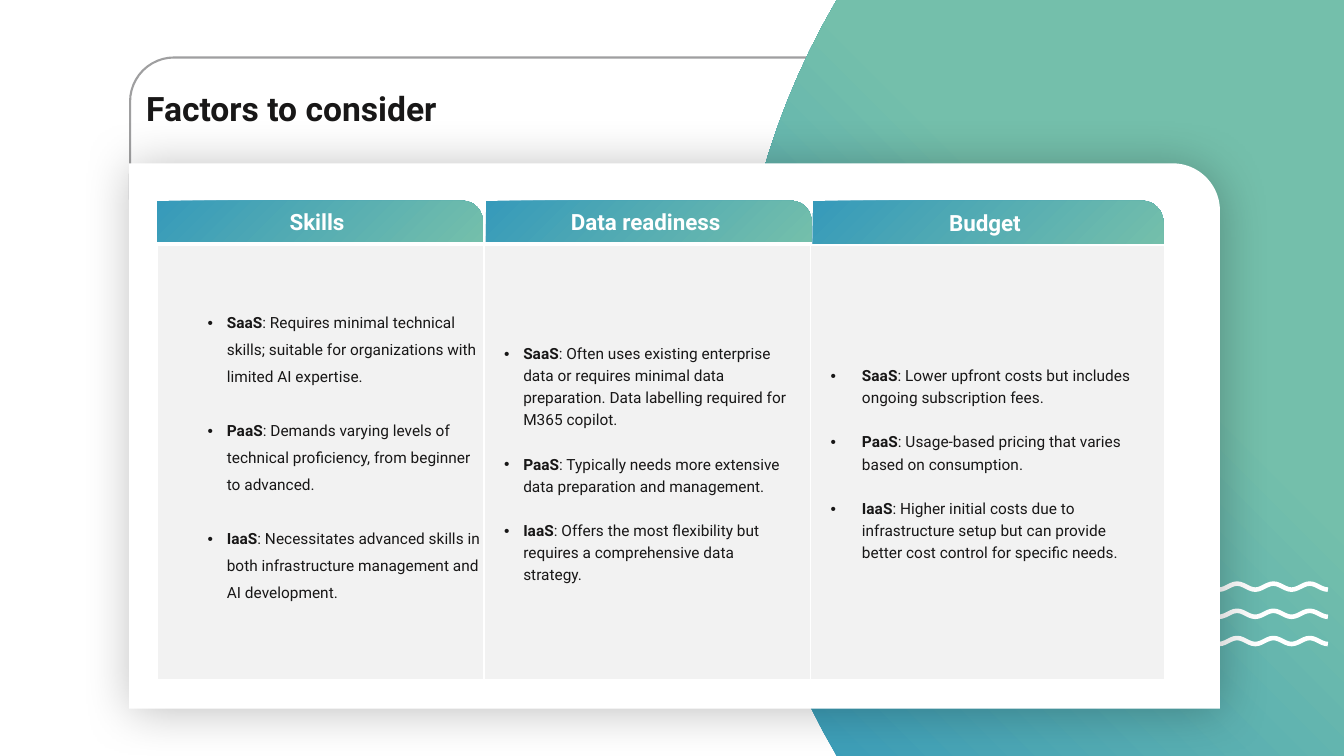
"""Build the slide that compares SaaS, PaaS and IaaS by three factors."""
from dataclasses import dataclass
from math import cos, pi, sqrt
from typing import Optional

from lxml.etree import SubElement
from pptx import Presentation
from pptx.dml.color import RGBColor
from pptx.dml.fill import FillFormat
from pptx.enum.shapes import MSO_SHAPE as Preset
from pptx.enum.text import MSO_ANCHOR as Anchor, MSO_AUTO_SIZE as AutoSize, PP_ALIGN as Align
from pptx.oxml.ns import qn
from pptx.shapes.autoshape import Shape
from pptx.slide import Slide
from pptx.table import _Cell as Cell
from pptx.text.text import _Paragraph as Para
from pptx.util import Emu, Pt

PX = 9144
WIDTH, HEIGHT = 1333, 750


@dataclass(frozen=True)
class Theme:
    font: str = "Roboto"
    ink: str = "181717"
    white: str = "FFFFFF"
    cell: str = "F2F2F2"
    outline: str = "9F9FA0"
    blue: str = "369ABA"
    green: str = "74BFAB"
    title: int = 24
    header: int = 16
    body: int = 11
    rule: float = 1.5
    wave: float = 3.25


@dataclass(frozen=True)
class Box:
    left: int
    top: int
    width: int
    height: int

    def emu(self) -> tuple[Emu, Emu, Emu, Emu]:
        return px(self.left), px(self.top), px(self.width), px(self.height)


@dataclass(frozen=True)
class Factor:
    name: str
    header: Box
    column: int
    margins: tuple[int, int, int, int]
    indent: int
    hang: int
    spacing: float | Pt
    gap: float
    items: dict[str, str]


THEME = Theme()
OUTLINE = Box(129, 57, 1082, 141)
PANEL = Box(128, 162, 1082, 541)
TITLE = Box(142, 84, 552, 46)
GRID = Box(156, 243, 999, 432)
WAVE = Box(1155, 579, 162, 6)
WAVE_STEP, WAVE_PERIOD = 27, 36
ARC_LEFT, ARC_DEPTH = 728, 102

FACTORS = [
    Factor("Skills", Box(156, 199, 323, 41), 324, (0, 0, 0, 18), 69, 19, 1.5, 19.2, {
        "SaaS": "Requires minimal technical skills; suitable for organizations with limited AI expertise.",
        "PaaS": "Demands varying levels of technical proficiency, from beginner to advanced.",
        "IaaS": "Necessitates advanced skills in both infrastructure management and AI development.",
    }),
    Factor("Data readiness", Box(482, 199, 323, 41), 324, (20, 20, 20, 20), 19, 19, Pt(15.8), 15.8, {
        "SaaS": "Often uses existing enterprise data or requires minimal data preparation. "
                "Data labelling required for M365 copilot.",
        "PaaS": "Typically needs more extensive data preparation and management.",
        "IaaS": "Offers the most flexibility but requires a comprehensive data strategy.",
    }),
    Factor("Budget", Box(806, 199, 348, 43), 351, (20, 0, 20, 0), 31, 31, Pt(15.8), 15.8, {
        "SaaS": "Lower upfront costs but includes ongoing subscription fees.",
        "PaaS": "Usage-based pricing that varies based on consumption.",
        "IaaS": "Higher initial costs due to infrastructure setup but can provide "
                "better cost control for specific needs.",
    }),
]


def px(length: float) -> Emu:
    return Emu(round(length * PX))


def paint(fill: FillFormat, color: str) -> None:
    fill.solid()
    fill.fore_color.rgb = RGBColor.from_string(color)


def blend(fill: FillFormat, stops: list[tuple[float, str]]) -> None:
    fill.gradient()
    for stop, (position, color) in zip(fill.gradient_stops, stops):
        stop.position = position
        stop.color.rgb = RGBColor.from_string(color)


def add_span(para: Para, text: str, size: int, color: str, bold: bool) -> None:
    span = para.add_run()
    span.text = text
    span.font.name, span.font.size, span.font.bold = THEME.font, Pt(size), bold
    span.font.color.rgb = RGBColor.from_string(color)


def add_corner_box(page: Slide, box: Box, corner: float, fill: Optional[str] = None) -> Shape:
    shape = page.shapes.add_shape(Preset.ROUND_1_RECTANGLE, *box.emu())
    shape.adjustments[0] = corner
    shape.shadow.inherit = False
    shape.line.fill.background()
    if fill:
        paint(shape.fill, fill)
    else:
        shape.fill.background()
    return shape


def add_outline(shapes, points: list[tuple[float, float]], close: bool) -> Shape:
    (left, top), *rest = [(px(x), px(y)) for x, y in points]
    builder = shapes.build_freeform(left, top)
    builder.add_line_segments(rest, close=close)
    shape = builder.convert_to_shape()
    shape.shadow.inherit = False
    return shape


def add_frame(page: Slide) -> None:
    frame = add_corner_box(page, OUTLINE, 0.31)
    frame.line.width = Pt(THEME.rule)
    paint(frame.line.fill, THEME.outline)
    frame._element.spPr.find(qn("a:xfrm")).set("flipH", "1")


def add_disc(page: Slide) -> None:
    half = HEIGHT / 2
    radius = (half ** 2 + ARC_DEPTH ** 2) / (2 * ARC_DEPTH)
    arc = [(ARC_LEFT + radius - sqrt(radius ** 2 - (y - half) ** 2), y) for y in range(0, HEIGHT + 1, 25)]
    disc = add_outline(page.shapes, [(WIDTH, 0), *arc, (WIDTH, HEIGHT)], True)
    disc.line.fill.background()
    blend(disc.fill, [(0.38, THEME.green), (1, THEME.blue)])
    grad = disc._element.spPr.find(qn("a:gradFill"))
    grad.remove(grad.find(qn("a:lin")))
    circle = SubElement(grad, qn("a:path"), path="circle")
    SubElement(circle, qn("a:fillToRect"), l="100000", b="100000")


def add_waves(page: Slide) -> None:
    group = page.shapes.add_group_shape()
    for row in range(3):
        top = WAVE.top + row * WAVE_STEP
        curve = [(WAVE.left + x, top + WAVE.height / 2 * (1 - cos(2 * pi * x / WAVE_PERIOD)))
                 for x in range(0, WAVE.width + 1, 3)]
        wave = add_outline(group.shapes, curve, False)
        wave.fill.background()
        wave.line.width = Pt(THEME.wave)
        paint(wave.line.fill, THEME.white)


def add_panel(page: Slide) -> None:
    panel = add_corner_box(page, PANEL, 0.087, THEME.white)
    effects = panel._element.spPr.find(qn("a:effectLst"))
    shadow = SubElement(effects, qn("a:outerShdw"), blurRad=str(Pt(35)), dist=str(Pt(3)),
                        dir="2700000", algn="tl", rotWithShape="0")
    color = SubElement(shadow, qn("a:srgbClr"), val="000000")
    SubElement(color, qn("a:alpha"), val="25000")


def add_title(page: Slide, text: str) -> None:
    title = page.shapes.title
    title.left, title.top, title.width, title.height = TITLE.emu()
    frame = title.text_frame
    frame.margin_left = frame.margin_right = frame.margin_top = frame.margin_bottom = px(3)
    frame.word_wrap, frame.auto_size = True, AutoSize.SHAPE_TO_FIT_TEXT
    frame.vertical_anchor = Anchor.TOP
    frame.paragraphs[0].alignment = Align.LEFT
    add_span(frame.paragraphs[0], text, THEME.title, THEME.ink, True)


def fill_cell(cell: Cell, factor: Factor) -> None:
    cell.margin_left, cell.margin_top, cell.margin_right, cell.margin_bottom = map(px, factor.margins)
    cell.vertical_anchor = Anchor.MIDDLE
    for side in ("lnL", "lnR", "lnT", "lnB"):
        edge = SubElement(cell._tc.get_or_add_tcPr(), qn(f"a:{side}"), w=str(Pt(THEME.rule)))
        SubElement(SubElement(edge, qn("a:solidFill")), qn("a:srgbClr"), val=THEME.white)
    paint(cell.fill, THEME.cell)
    for index, (service, note) in enumerate(factor.items.items()):
        para = cell.text_frame.add_paragraph() if index else cell.text_frame.paragraphs[0]
        props = para._p.get_or_add_pPr()
        props.set("marL", str(px(factor.indent)))
        props.set("indent", str(px(-factor.hang)))
        SubElement(props, qn("a:buFont"), typeface="Arial")
        SubElement(props, qn("a:buChar"), char="•")
        para.line_spacing = factor.spacing
        if index:
            para.space_before = Pt(factor.gap)
        add_span(para, service, THEME.body, THEME.ink, True)
        add_span(para, f": {note}", THEME.body, THEME.ink, False)


def add_factors(page: Slide) -> None:
    table = page.shapes.add_table(1, len(FACTORS), *GRID.emu()).table
    table.first_row = table.horz_banding = False
    for index, factor in enumerate(FACTORS):
        table.columns[index].width = px(factor.column)
        fill_cell(table.cell(0, index), factor)
        header = add_corner_box(page, factor.header, 0.5)
        blend(header.fill, [(0, THEME.blue), (1, THEME.green)])
        header.fill.gradient_angle = 315
        para = header.text_frame.paragraphs[0]
        para.alignment = Align.CENTER
        add_span(para, factor.name, THEME.header, THEME.white, True)


def main() -> None:
    deck = Presentation()
    deck.slide_width, deck.slide_height = px(WIDTH), px(HEIGHT)
    page = deck.slides.add_slide(deck.slide_layouts[5])
    add_frame(page)
    add_disc(page)
    add_waves(page)
    add_title(page, "Factors to consider")
    add_panel(page)
    add_factors(page)
    deck.save("out.pptx")


if __name__ == "__main__":
    main()
